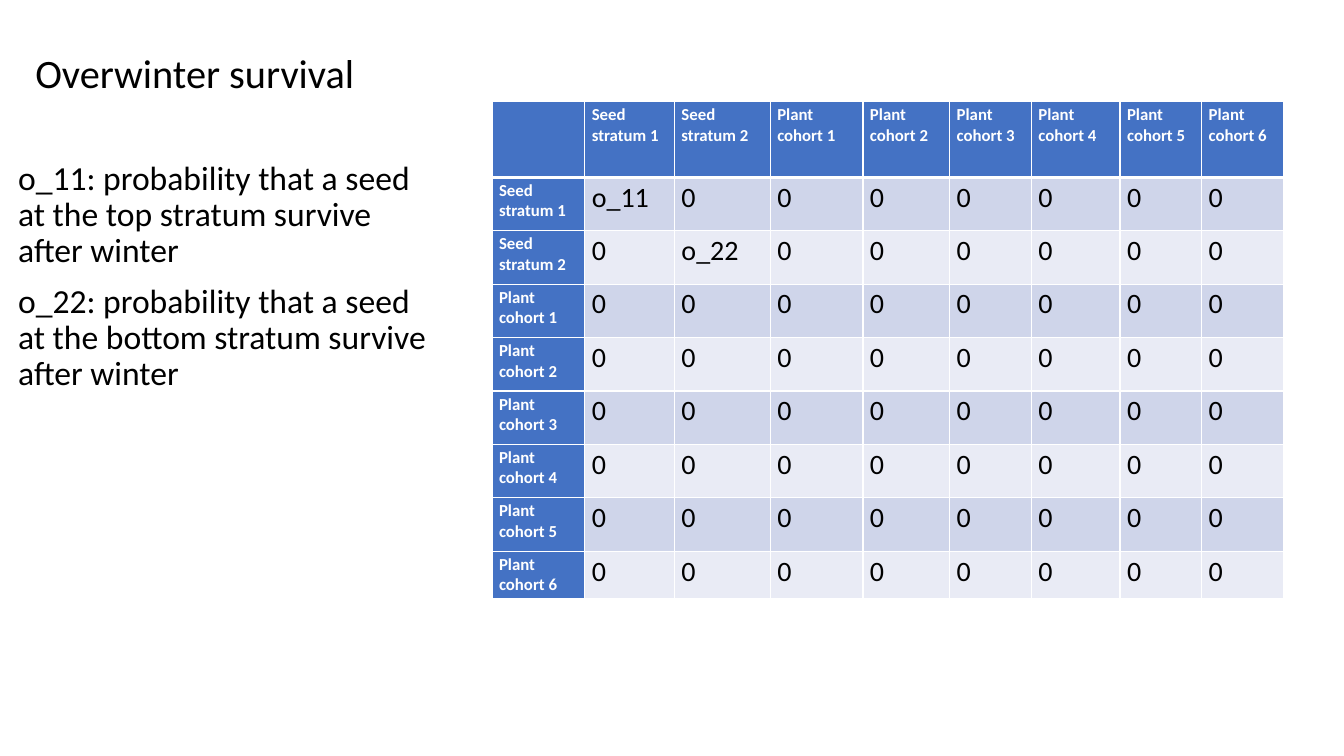
from dataclasses import dataclass

from lxml.etree import SubElement
from pptx import Presentation
from pptx.dml.color import RGBColor
from pptx.enum.text import MSO_ANCHOR, MSO_AUTO_SIZE, PP_ALIGN
from pptx.oxml.ns import qn
from pptx.util import Inches, Pt

FONT = "Calibri"
BLACK = RGBColor(0x00, 0x00, 0x00)
WHITE = RGBColor(0xFF, 0xFF, 0xFF)
HEADER_BLUE = RGBColor(0x44, 0x72, 0xC4)
BANDS = (RGBColor(0xCF, 0xD5, 0xEA), RGBColor(0xE9, 0xEB, 0xF5))


@dataclass(frozen=True)
class TextStyle:
    """Size, colour and weight of a piece of text."""
    size: float
    color: RGBColor = BLACK
    bold: bool = False


@dataclass(frozen=True)
class Box:
    """Position and size in inches."""
    left: float
    top: float
    width: float
    height: float


TITLE_STYLE = TextStyle(28.8)
DEFINITION_STYLE = TextStyle(24)
STAGE_STYLE = TextStyle(12, WHITE, True)
SURVIVAL_STYLE = TextStyle(20)

TITLE_BOX = Box(0.25, 0.34, 3.5, 0.67)
DEFINITIONS_BOX = Box(0.08, 1.55, 4.3, 4.17)
MATRIX_BOX = Box(4.88, 1.01, 7.86, 4.92)

DEFINITIONS = [
    f"{symbol}: probability that a seed at the {layer} stratum survive after winter"
    for symbol, layer in (("o_11", "top"), ("o_22", "bottom"))
]
STAGES = [f"Seed stratum {n}" for n in (1, 2)] + [f"Plant cohort {n}" for n in range(1, 7)]
SURVIVAL = {(1, 1): "o_11", (2, 2): "o_22"}
COLUMN_WIDTHS = (0.92, 0.89, 0.95, 0.92, 0.86, 0.81, 0.88, 0.81, 0.81)
ROW_HEIGHTS = (0.75, *[0.53] * 7, 0.46)


def format_text(frame, style: TextStyle) -> None:
    """Apply one style to every run of a text frame."""
    for paragraph in frame.paragraphs:
        for run in paragraph.runs:
            run.font.name = FONT
            run.font.size = Pt(style.size)
            run.font.bold = style.bold
            run.font.color.rgb = style.color


def fill_placeholder(holder, box: Box, text: str, style: TextStyle,
                     anchor: MSO_ANCHOR, space_before: float = 0) -> None:
    """Move a placeholder and give it formatted text."""
    holder.left, holder.top = Inches(box.left), Inches(box.top)
    holder.width, holder.height = Inches(box.width), Inches(box.height)
    frame = holder.text_frame
    frame.text = text
    frame.word_wrap = True
    frame.auto_size = MSO_AUTO_SIZE.NONE
    frame.vertical_anchor = anchor
    for paragraph in frame.paragraphs:
        paragraph.alignment = PP_ALIGN.LEFT
        paragraph.line_spacing = 0.9
        paragraph.space_before = Pt(space_before)
    format_text(frame, style)


def add_borders(cell, row: int) -> None:
    """Draw white cell borders, thicker below the header row."""
    properties = cell._tc.get_or_add_tcPr()
    widths = {"L": 1, "R": 1, "T": 3 if row == 1 else 1, "B": 3 if row == 0 else 1}
    for side, width in widths.items():
        border = SubElement(properties, qn(f"a:ln{side}"), w=str(Pt(width)))
        SubElement(SubElement(border, qn("a:solidFill")), qn("a:srgbClr"), val=str(WHITE))


def fill_cell(cell, row: int, column: int) -> None:
    """Write a stage name or a survival value into its cell."""
    is_stage = row == 0 or column == 0
    if is_stage:
        text = STAGES[row + column - 1] if row + column else ""
    else:
        text = SURVIVAL.get((row, column), "0")
    cell.margin_left = cell.margin_right = Inches(0.07)
    cell.margin_top = cell.margin_bottom = Inches(0.03)
    add_borders(cell, row)
    cell.fill.solid()
    cell.fill.fore_color.rgb = HEADER_BLUE if is_stage else BANDS[(row - 1) % 2]
    cell.text_frame.text = text
    format_text(cell.text_frame, STAGE_STYLE if is_stage else SURVIVAL_STYLE)


def add_survival_matrix(slide, box: Box) -> None:
    """Add the stage-by-stage survival table."""
    matrix = slide.shapes.add_table(
        len(ROW_HEIGHTS), len(COLUMN_WIDTHS), Inches(box.left), Inches(box.top),
        Inches(box.width), Inches(box.height)).table
    matrix.first_col = True
    for column, width in zip(matrix.columns, COLUMN_WIDTHS):
        column.width = Inches(width)
    for row, height in zip(matrix.rows, ROW_HEIGHTS):
        row.height = Inches(height)
    for row in range(len(ROW_HEIGHTS)):
        for column in range(len(COLUMN_WIDTHS)):
            fill_cell(matrix.cell(row, column), row, column)


def main() -> None:
    """Build and save the slide."""
    deck = Presentation()
    deck.slide_width, deck.slide_height = Inches(13.33), Inches(7.5)
    slide = deck.slides.add_slide(deck.slide_layouts.get_by_name("Content with Caption"))
    title, content, definitions = slide.placeholders
    content.element.getparent().remove(content.element)
    fill_placeholder(title, TITLE_BOX, "Overwinter survival", TITLE_STYLE, MSO_ANCHOR.BOTTOM)
    fill_placeholder(definitions, DEFINITIONS_BOX, "\n".join(DEFINITIONS),
                     DEFINITION_STYLE, MSO_ANCHOR.TOP, space_before=10)
    add_survival_matrix(slide, MATRIX_BOX)
    deck.save("out.pptx")


main()
